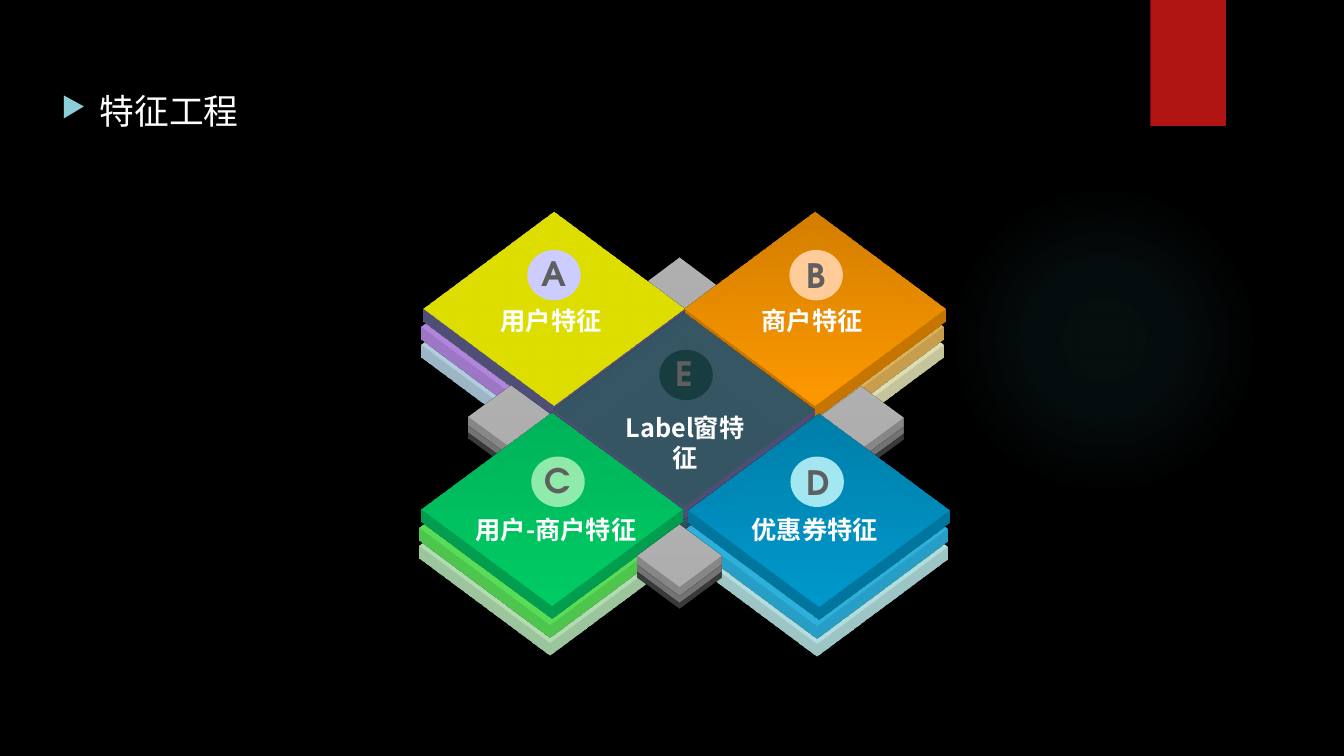
from lxml.etree import SubElement
from pptx import Presentation
from pptx.dml.color import RGBColor as RGB
from pptx.enum.shapes import MSO_SHAPE as SHAPE
from pptx.enum.text import MSO_ANCHOR as ANCHOR, PP_ALIGN as ALIGN
from pptx.oxml import parse_xml
from pptx.oxml.ns import nsdecls, qn
from pptx.util import Inches, Pt

BLACK = RGB(0x00, 0x00, 0x00)
WHITE = RGB(0xFF, 0xFF, 0xFF)
RED = RGB(0xB0, 0x15, 0x13)
TEAL = RGB(0x50, 0xB9, 0xC1)
AQUA = RGB(0x8A, 0xD0, 0xD6)
INK = RGB(0x5F, 0x5F, 0x5F)
SLATE = RGB(0x3F, 0x63, 0x73)
VIOLET = RGB(0x66, 0x66, 0x99)
LILAC = RGB(0xCC, 0xCC, 0xFF)
PEACH = RGB(0xFF, 0xCC, 0x99)
PINE = RGB(0x17, 0x3D, 0x40)
ICE = RGB(0xCC, 0xFF, 0xFF)
MINT = RGB(0xCC, 0xFF, 0xCC)
SKY = RGB(0xCC, 0xEC, 0xFF)
PURPLE = RGB(0xCC, 0x99, 0xFF)
YELLOW = RGB(0xFF, 0xFF, 0x00)
CREAM = RGB(0xFF, 0xFF, 0xCC)
GOLD = RGB(0xFF, 0xCC, 0x66)
RUST = RGB(0xD5, 0x80, 0x00)
ORANGE = RGB(0xFF, 0x99, 0x00)
CYAN = RGB(0x33, 0xCC, 0xFF)
NAVY = RGB(0x00, 0x80, 0xAB)
BLUE = RGB(0x00, 0x99, 0xCC)
LIME = RGB(0x66, 0xFF, 0x66)
MOSS = RGB(0x00, 0xB5, 0x5B)
GREEN = RGB(0x00, 0xCC, 0x66)
COAL = RGB(0x4D, 0x4D, 0x4D)
GREY = RGB(0x96, 0x96, 0x96)
SILVER = RGB(0xB2, 0xB2, 0xB2)
ASH = RGB(0xAF, 0xAF, 0xAF)

HAN = "Noto Sans CJK SC"
LATIN = "TeX Gyre Adventor"
TILE = (2.59, 1.92, 0.26, ((-0.02, 0.36), (-0.02, 0.18), (0, 0)))
POST = (0.84, 0.62, 0.18, ((0, 0.13), (0, 0.07), (0, 0)))
STONE = (COAL, GREY, (SILVER, ASH))

STACKS = [
    (6.32, 2.56, POST, STONE, ASH),
    (6.79, 2.1, TILE, (CREAM, GOLD, (RUST, ORANGE)), ORANGE),
    (4.2, 2.1, TILE, (SKY, PURPLE, YELLOW), VIOLET),
    (5.49, 3.1, TILE, (SLATE, SLATE, SLATE), VIOLET),
    (8.12, 3.83, POST, STONE, ASH),
    (6.83, 4.1, TILE, (ICE, CYAN, (NAVY, BLUE)), BLUE),
    (4.65, 3.82, POST, STONE, ASH),
    (4.18, 4.09, TILE, (MINT, LIME, (MOSS, GREEN)), GREEN),
    (6.32, 5.2, POST, STONE, ASH),
]
BADGES = [
    ("A", 5.23, 2.48, LILAC, 100, (5.27, 2.46), "用户特征", (4.86, 2.98, 1.21), False),
    ("B", 7.83, 2.48, PEACH, 100, (7.88, 2.48), "商户特征", (7.45, 2.98, 1.21), False),
    ("C", 5.27, 4.53, MINT, 70, (5.3, 4.51), "用户-商户特征", (4.6, 5.05, 1.83), True),
    ("D", 7.84, 4.53, ICE, 80, (7.9, 4.53), "优惠券特征", (7.35, 5.05, 1.46), False),
    ("E", 6.54, 3.47, PINE, 100, (6.57, 3.45), "Label窗特征", (6.03, 4.04, 1.53), True),
]


def paint(shape, fill):
    """Fill a shape with one colour or a downward gradient pair."""
    shape.shadow.inherit = False
    shape.line.fill.background()
    if isinstance(fill, RGB):
        shape.fill.solid()
        shape.fill.fore_color.rgb = fill
    else:
        shape.fill.gradient()
        shape.fill.gradient_angle = 270
        for stop, color, spot in zip(shape.fill.gradient_stops, fill, (0, 1)):
            stop.color.rgb = color
            stop.position = spot


def shape(shapes, kind, box, fill):
    """Add a painted preset shape."""
    item = shapes.add_shape(kind, *map(Inches, box))
    paint(item, fill)
    return item


def style(para, size, color, face, bold=False):
    """Set the font of a paragraph for all scripts."""
    font = para.font
    font.size, font.name, font.bold = Pt(size), face, bold
    font.color.rgb = color
    base = para._p.get_or_add_pPr().find(qn("a:defRPr"))
    SubElement(base, qn("a:ea")).set("typeface", face)


def label(slide, box, text, size, color, face, wrap=False):
    """Add a centred bold caption."""
    frame = slide.shapes.add_textbox(*map(Inches, box)).text_frame
    frame.word_wrap = wrap
    para = frame.paragraphs[0]
    para.text = text
    para.alignment = ALIGN.CENTER
    style(para, size, color, face, True)


def extrude(item, deep, color):
    """Give a shape a lit depth running downwards."""
    props = item._element.spPr
    props.append(parse_xml(
        f'<a:scene3d {nsdecls("a")}><a:camera prst="legacyObliqueBottom"/>'
        '<a:lightRig rig="legacyFlat3" dir="r"/></a:scene3d>'))
    props.append(parse_xml(
        f'<a:sp3d {nsdecls("a")} extrusionH="{Inches(deep)}" prstMaterial="legacyMatte">'
        '<a:bevelT w="13500" h="13500" prst="angle"/><a:bevelB w="13500" h="13500" prst="angle"/>'
        f'<a:extrusionClr><a:srgbClr val="{color}"/></a:extrusionClr></a:sp3d>'))


def stack(slide, x, y, size, fills, edge):
    """Pile up three diamond slabs."""
    wide, high, deep, steps = size
    shapes = slide.shapes.add_group_shape().shapes
    for (dx, dy), fill, wall in zip(steps, fills, (*fills[:2], edge)):
        slab = shape(shapes, SHAPE.DIAMOND, (x + dx, y + dy, wide, high), fill)
        extrude(slab, deep, wall)


def badge(slide, mark, x, y, fill, alpha, spot, text, place, wrap):
    """Add a lettered disc and its caption."""
    disc = shape(slide.shapes, SHAPE.OVAL, (x, y, 0.53, 0.5), fill)
    if alpha < 100:
        tint = disc._element.spPr.find(".//" + qn("a:srgbClr"))
        SubElement(tint, qn("a:alpha")).set("val", str(alpha * 1000))
    label(slide, (*spot, 0.44, 0.5), mark, 24, INK, LATIN)
    label(slide, (*place, 0.4), text, 18, WHITE, HAN, wrap)


def decor(slide):
    """Add the soft glow and the red ribbon."""
    glow = shape(slide.shapes, SHAPE.OVAL, (9.41, 1.83, 3.08, 3.08), TEAL)
    stops = "".join(
        f'<a:gs pos="{pos}000"><a:srgbClr val="{TEAL}"><a:alpha val="{alpha}000"/></a:srgbClr></a:gs>'
        for pos, alpha in ((0, 7), (36, 6), (69, 0)))
    grad = parse_xml(
        f'<a:gradFill {nsdecls("a")}><a:gsLst>{stops}</a:gsLst><a:path path="circle">'
        '<a:fillToRect l="50000" t="50000" r="50000" b="50000"/></a:path></a:gradFill>')
    props = glow._element.spPr
    props.replace(props.find(qn("a:solidFill")), grad)
    shape(slide.shapes, SHAPE.RECTANGLE, (11.41, 0, 0.75, 1.25), RED)


def head(slide, box, text):
    """Place the bulleted title."""
    title = slide.shapes.title
    title.left, title.top, title.width, title.height = map(Inches, box)
    frame = title.text_frame
    frame.vertical_anchor = ANCHOR.TOP
    frame.word_wrap = True
    para = frame.paragraphs[0]
    para.text = text
    para.alignment = ALIGN.LEFT
    props = para._p.get_or_add_pPr()
    props.set("marL", str(Inches(0.38)))
    props.set("indent", str(-Inches(0.38)))
    SubElement(SubElement(props, qn("a:buClr")), qn("a:srgbClr")).set("val", str(AQUA))
    SubElement(props, qn("a:buSzPct")).set("val", "80000")
    SubElement(props, qn("a:buFont")).set("typeface", "OpenSymbol")
    SubElement(props, qn("a:buChar")).set("char", "▶")
    style(para, 24.8, WHITE, HAN)


def main():
    """Build and save the slide."""
    deck = Presentation()
    deck.slide_width, deck.slide_height = Inches(13.33), Inches(7.5)
    slide = deck.slides.add_slide(deck.slide_layouts[5])
    slide.background.fill.solid()
    slide.background.fill.fore_color.rgb = BLACK
    decor(slide)
    head(slide, (0.51, 0.84, 2.73, 0.46), "特征工程")
    for item in STACKS:
        stack(slide, *item)
    for item in BADGES:
        badge(slide, *item)
    deck.save("out.pptx")


if __name__ == "__main__":
    main()
